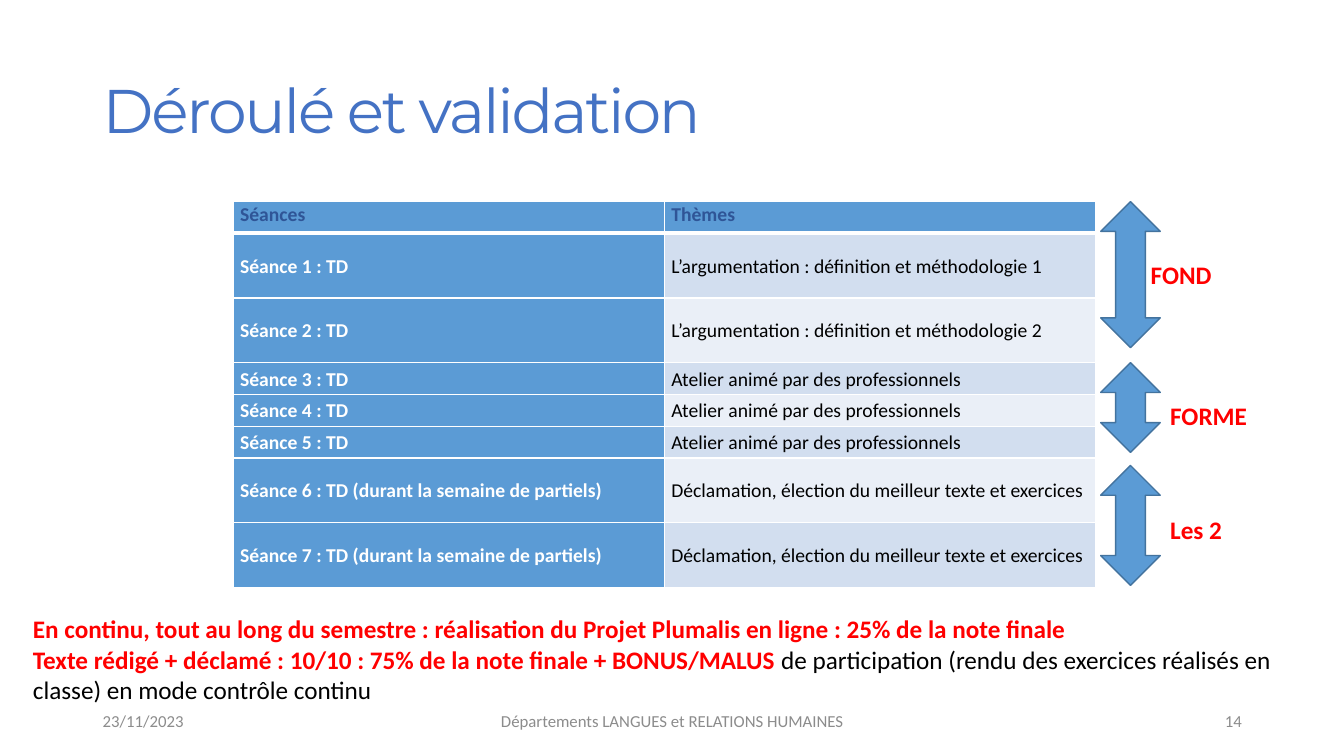
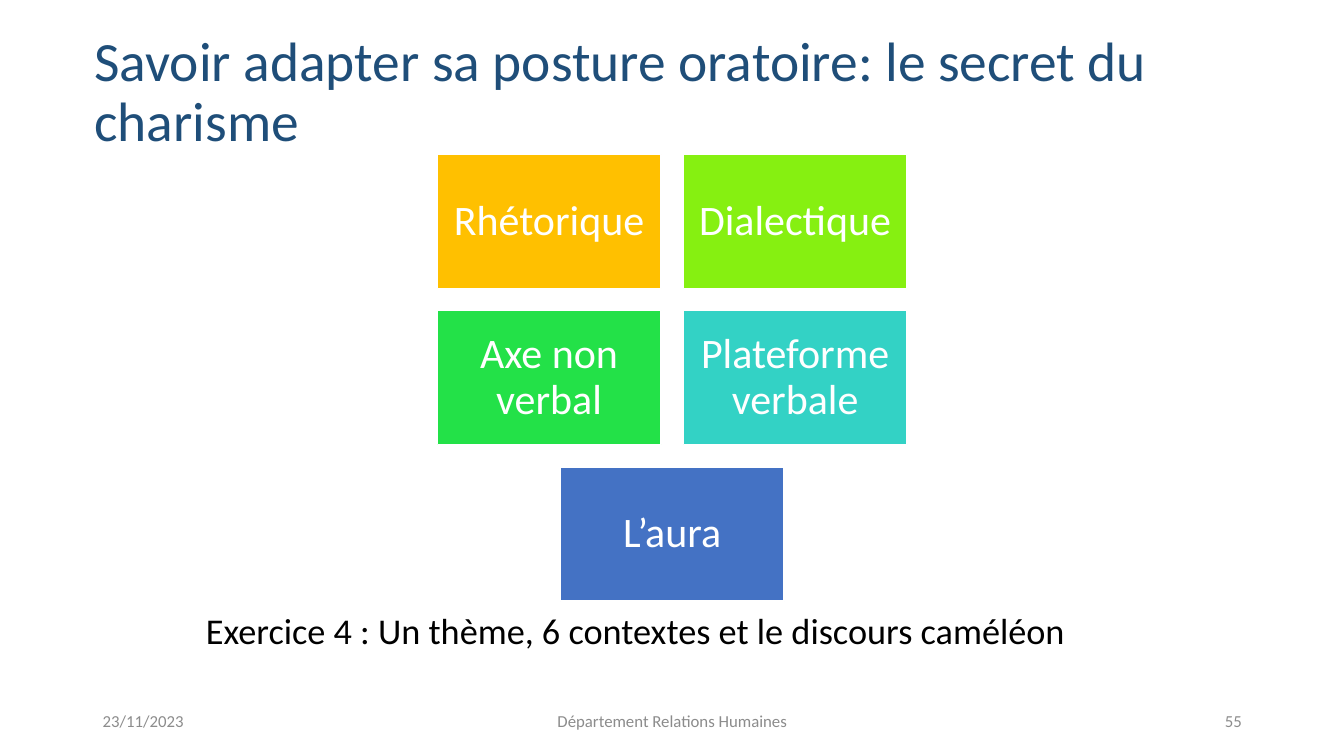
from dataclasses import dataclass

from lxml import etree
from pptx import Presentation
from pptx import util as u
from pptx.dml import color
from pptx.enum import shapes, text
from pptx.oxml import ns


@dataclass(frozen=True)
class Theme:
    white: str = "FFFFFF"
    black: str = "000000"
    red: str = "FF0000"
    grey: str = "8C8C8C"
    royal: str = "4472C4"
    navy: str = "1F4E79"
    heading: str = "2F5597"
    sky: str = "5B9BD5"
    outline: str = "43739E"
    bands: tuple = ("D2DEEF", "EAEFF7")
    font: str = "Calibri"
    display: str = "Montserrat"
    footer: float = 12
    cell: float = 14
    note: float = 18
    exercise: float = 25.9
    block: float = 30
    title: float = 39.6
    display_title: float = 44


THEME = Theme()
LEFT, CENTER, RIGHT = text.PP_ALIGN.LEFT, text.PP_ALIGN.CENTER, text.PP_ALIGN.RIGHT
TOP, MIDDLE = text.MSO_ANCHOR.TOP, text.MSO_ANCHOR.MIDDLE

DATE = "23/11/2023"
FOOTER_BOXES = [(2.34, 7.62, LEFT), (11.23, 11.43, CENTER), (23.93, 7.62, RIGHT)]

HEADERS = ("Séances", "Thèmes")
SESSIONS = [
    ("Séance 1 : TD", "L’argumentation : définition et méthodologie 1", 1.63),
    ("Séance 2 : TD", "L’argumentation : définition et méthodologie 2", 1.63),
    ("Séance 3 : TD", "Atelier animé par des professionnels", 0.8),
    ("Séance 4 : TD", "Atelier animé par des professionnels", 0.8),
    ("Séance 5 : TD", "Atelier animé par des professionnels", 0.8),
    ("Séance 6 : TD (durant la semaine de partiels)",
     "Déclamation, élection du meilleur texte et exercices", 1.63),
    ("Séance 7 : TD (durant la semaine de partiels)",
     "Déclamation, élection du meilleur texte et exercices", 1.63),
]
HEADER_HEIGHT, COLUMN_WIDTH = 0.8, 10.87
PHASES = [
    ("FOND", 5.08, 3.68, 28.75, 6.4),
    ("FORME", 9.14, 2.26, 29.24, 9.96),
    ("Les 2", 11.73, 3.02, 29.24, 12.83),
]
GRADING = [
    [("En continu, tout au long du semestre : réalisation du Projet Plumalis "
      "en ligne : 25% de la note finale", True)],
    [("Texte rédigé + déclamé : 10/10 : 75% de la note finale + BONUS/MALUS ", True),
     ("de participation (rendu des exercices réalisés en classe) "
      "en mode contrôle continu", False)],
]

BLOCK_ROWS = [
    [("Rhétorique", "FFC000"), ("Dialectique", "86F011")],
    [("Axe non verbal", "23E148"), ("Plateforme verbale", "33D2C5")],
    [("L’aura", THEME.royal)],
]
BLOCK_WIDTH, BLOCK_HEIGHT, BLOCK_GAP = 5.64, 3.38, 0.56
BLOCKS_CENTER, BLOCKS_TOP = 16.94, 3.89


def rgb(value):
    return color.RGBColor.from_string(value)


def set_attributes(target, values):
    for name, value in values.items():
        setattr(target, name, value)


def font_style(size, ink, bold=False, name=THEME.font):
    return {"name": name, "size": u.Pt(size), "bold": bold}, ink


def write(frame, paragraphs, align=LEFT, spacing=1.0):
    for index, runs in enumerate(paragraphs):
        paragraph = frame.paragraphs[0] if index == 0 else frame.add_paragraph()
        set_attributes(paragraph, {"alignment": align, "line_spacing": spacing})
        for words, (values, ink) in runs:
            run = paragraph.add_run()
            run.text = words
            set_attributes(run.font, values)
            run.font.color.rgb = rgb(ink)


def add_text(slide, box, paragraphs, anchor=TOP, **layout):
    shape = slide.shapes.add_textbox(*map(u.Cm, box))
    set_attributes(shape.text_frame, {"word_wrap": True, "vertical_anchor": anchor})
    write(shape.text_frame, paragraphs, **layout)
    return shape


def add_filled(slide, kind, box, fill, line):
    shape = slide.shapes.add_shape(kind, *map(u.Cm, box))
    shape.shadow.inherit = False
    shape.fill.solid()
    shape.fill.fore_color.rgb = rgb(fill)
    shape.line.color.rgb = rgb(line)
    shape.line.width = u.Pt(1)
    return shape


def add_title(slide, box, words, style):
    return add_text(slide, box, [[(words, style)]], anchor=MIDDLE, spacing=0.9)


def add_footer(slide, department, number):
    style = font_style(THEME.footer, THEME.grey)
    for words, (left, width, align) in zip((DATE, department, number), FOOTER_BOXES):
        add_text(slide, (left, 17.65, width, 1.02), [[(words, style)]],
                 anchor=MIDDLE, align=align)


def set_borders(cell, top, bottom):
    properties = cell._tc.get_or_add_tcPr()
    for side, width in (("L", 1), ("R", 1), ("T", top), ("B", bottom)):
        line = etree.SubElement(properties, ns.qn(f"a:ln{side}"), w=str(u.Pt(width)))
        fill = etree.SubElement(line, ns.qn("a:solidFill"))
        etree.SubElement(fill, ns.qn("a:srgbClr"), val=THEME.white)


def fill_cell(cell, words, fill, style, anchor, top=1, bottom=1):
    set_attributes(cell, {"margin_left": u.Cm(0.18), "margin_right": u.Cm(0.18),
                          "margin_top": 0, "margin_bottom": 0,
                          "vertical_anchor": anchor})
    set_borders(cell, top, bottom)
    cell.fill.solid()
    cell.fill.fore_color.rgb = rgb(fill)
    write(cell.text_frame, [[(words, style)]], spacing=1.07)


def add_sessions(slide):
    heights = [HEADER_HEIGHT] + [height for _, _, height in SESSIONS]
    box = (5.87, 5.08, 2 * COLUMN_WIDTH, sum(heights))
    table = slide.shapes.add_table(len(heights), 2, *map(u.Cm, box)).table
    set_attributes(table, {"first_row": False, "horz_banding": False})
    for column in table.columns:
        column.width = u.Cm(COLUMN_WIDTH)
    for row, height in zip(table.rows, heights):
        row.height = u.Cm(height)

    header = font_style(THEME.cell, THEME.heading, True)
    for column, words in enumerate(HEADERS):
        fill_cell(table.cell(0, column), words, THEME.sky, header, TOP, bottom=3)
    session_style = font_style(THEME.cell, THEME.white, True)
    topic_style = font_style(THEME.cell, THEME.black)
    for row, (session, topic, _) in enumerate(SESSIONS, 1):
        top = 3 if row == 1 else 1
        band = THEME.bands[(row - 1) % 2]
        fill_cell(table.cell(row, 0), session, THEME.sky, session_style, MIDDLE, top)
        fill_cell(table.cell(row, 1), topic, band, topic_style, MIDDLE, top)


def build_schedule(slide):
    title = add_title(slide, (2.34, 1.02, 29.21, 3.68), "Déroulé et validation",
                      font_style(THEME.display_title, THEME.royal, name=THEME.display))
    title.text_frame.paragraphs[0].runs[0]._r.get_or_add_rPr().set("spc", "-160")
    add_sessions(slide)
    add_footer(slide, "Départements LANGUES et RELATIONS HUMAINES", "14")
    strong = font_style(THEME.note, THEME.red, True)
    plain = font_style(THEME.note, THEME.black)
    for words, top, height, label_left, label_top in PHASES:
        add_filled(slide, shapes.MSO_SHAPE.UP_DOWN_ARROW, (27.74, top, 1.5, height),
                   THEME.sky, THEME.outline)
        add_text(slide, (label_left, label_top, 3.25, 1.02), [[(words, strong)]])
    add_text(slide, (0.58, 15.34, 32.54, 2.57),
             [[(words, strong if bold else plain) for words, bold in runs]
              for runs in GRADING])


def build_charisma(slide):
    add_title(slide, (2.13, 0.76, 29.64, 3.18),
              "Savoir adapter sa posture oratoire: le secret du charisme",
              font_style(THEME.title, THEME.navy))
    add_text(slide, (4.94, 15.32, 23.4, 1.4),
             [[("Exercice 4 : Un thème, 6 contextes et le discours caméléon",
                font_style(THEME.exercise, THEME.black))]], spacing=0.9)
    style = font_style(THEME.block, THEME.white)
    margins = dict.fromkeys(
        ("margin_left", "margin_top", "margin_right", "margin_bottom"), u.Cm(0.3))
    for row, blocks in enumerate(BLOCK_ROWS):
        row_width = len(blocks) * (BLOCK_WIDTH + BLOCK_GAP) - BLOCK_GAP
        top = BLOCKS_TOP + row * (BLOCK_HEIGHT + BLOCK_GAP)
        for column, (words, fill) in enumerate(blocks):
            left = BLOCKS_CENTER - row_width / 2 + column * (BLOCK_WIDTH + BLOCK_GAP)
            shape = add_filled(slide, shapes.MSO_SHAPE.RECTANGLE,
                               (left, top, BLOCK_WIDTH, BLOCK_HEIGHT), fill, THEME.white)
            set_attributes(shape.text_frame, {"word_wrap": True,
                                              "vertical_anchor": MIDDLE, **margins})
            write(shape.text_frame, [[(words, style)]], align=CENTER, spacing=0.9)
    add_footer(slide, "Département Relations Humaines", "55")


def main():
    presentation = Presentation()
    set_attributes(presentation, {"slide_width": u.Cm(33.87),
                                  "slide_height": u.Cm(19.05)})
    for build in (build_schedule, build_charisma):
        build(presentation.slides.add_slide(presentation.slide_layouts[6]))
    presentation.save("out.pptx")


if __name__ == "__main__":
    main()
